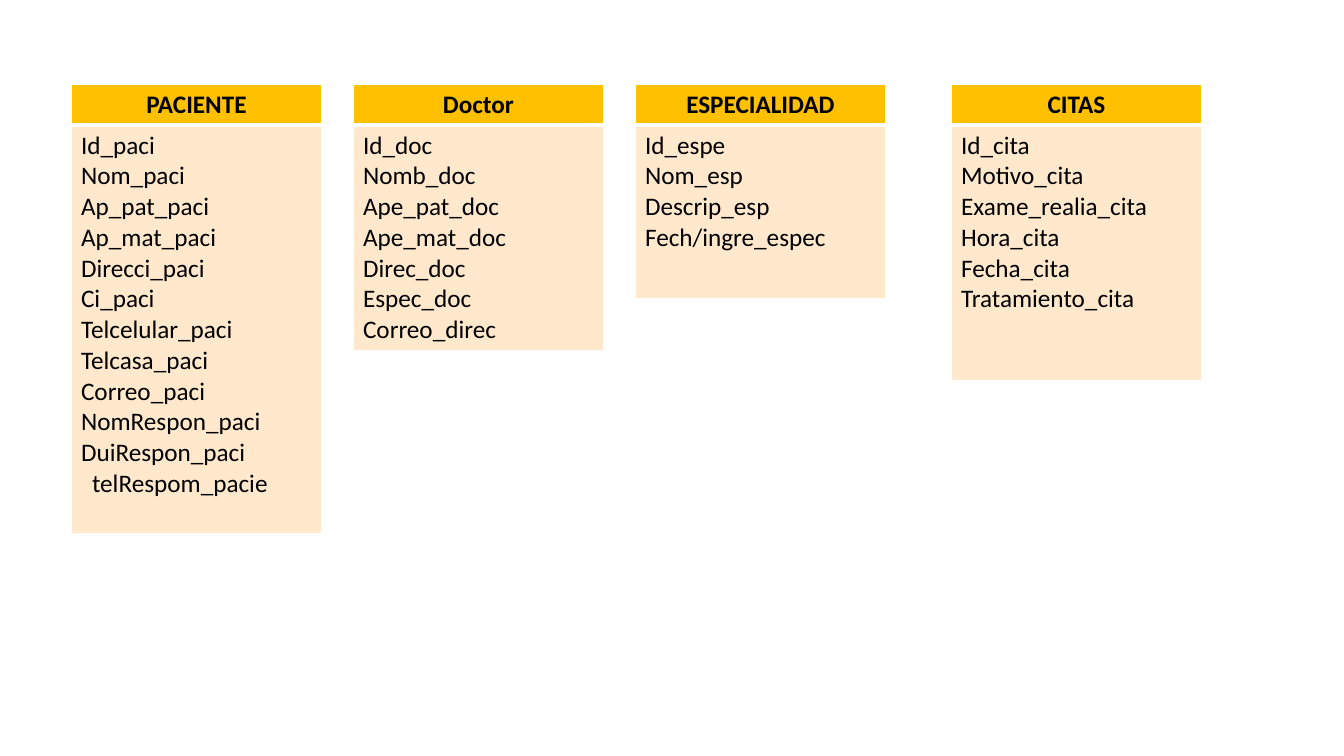
from dataclasses import dataclass

from lxml.etree import SubElement
from pptx import Presentation
from pptx.dml.color import RGBColor
from pptx.enum.text import PP_ALIGN as Align
from pptx.oxml.ns import qn
from pptx.slide import Slide
from pptx.table import _Cell as Cell
from pptx.util import Emu, Pt

PIXELS_PER_INCH = 100.8
SLIDE_WIDTH, SLIDE_HEIGHT = 1344, 756
TABLE_TOP, TABLE_WIDTH, HEADER_HEIGHT = 84, 251, 41
FIELD_INDENT = 11
THIN, THICK = 1, 3

AMBER = RGBColor(0xFF, 0xC0, 0x00)
CREAM = RGBColor(0xFF, 0xE8, 0xCC)
BLACK = RGBColor(0x00, 0x00, 0x00)
WHITE = RGBColor(0xFF, 0xFF, 0xFF)


@dataclass(frozen=True)
class Entity:
    name: str
    left: int
    body_height: int
    fields: tuple[str, ...]
    indented: tuple[str, ...] = ()


ENTITIES = (
    Entity("PACIENTE", 71, 409, (
        "Id_paci", "Nom_paci", "Ap_pat_paci", "Ap_mat_paci", "Direcci_paci",
        "Ci_paci", "Telcelular_paci", "Telcasa_paci", "Correo_paci",
        "NomRespon_paci", "DuiRespon_paci", "telRespom_pacie",
    ), indented=("telRespom_pacie",)),
    Entity("Doctor", 353, 225, (
        "Id_doc", "Nomb_doc", "Ape_pat_doc", "Ape_mat_doc", "Direc_doc",
        "Espec_doc", "Correo_direc",
    )),
    Entity("ESPECIALIDAD", 635, 174, (
        "Id_espe", "Nom_esp", "Descrip_esp", "Fech/ingre_espec",
    )),
    Entity("CITAS", 951, 256, (
        "Id_cita", "Motivo_cita", "Exame_realia_cita", "Hora_cita",
        "Fecha_cita", "Tratamiento_cita",
    )),
)


def px(pixels: int) -> Emu:
    return Emu(round(pixels * 914400 / PIXELS_PER_INCH))


def style_cell(cell: Cell, color: RGBColor, top: int, bottom: int) -> None:
    properties = cell._tc.get_or_add_tcPr()
    borders = {"lnL": THIN, "lnR": THIN, "lnT": top, "lnB": bottom}
    for tag, points in borders.items():
        line = SubElement(properties, qn(f"a:{tag}"), w=str(Pt(points)))
        fill = SubElement(line, qn("a:solidFill"))
        SubElement(fill, qn("a:srgbClr"), val=str(WHITE))
    cell.fill.solid()
    cell.fill.fore_color.rgb = color


def write_lines(cell: Cell, lines: tuple[str, ...], bold: bool, align: Align) -> None:
    cell.text = "\n".join(lines)
    for paragraph in cell.text_frame.paragraphs:
        paragraph.alignment = align
        font = paragraph.font
        font.name, font.size, font.bold = "Calibri", Pt(18), bold
        font.color.rgb = BLACK


def add_entity(slide: Slide, entity: Entity) -> None:
    table = slide.shapes.add_table(
        2, 1, px(entity.left), px(TABLE_TOP), px(TABLE_WIDTH),
        px(HEADER_HEIGHT + entity.body_height),
    ).table
    table.first_row = table.horz_banding = False
    table.rows[0].height = px(HEADER_HEIGHT)
    table.rows[1].height = px(entity.body_height)

    header, body = table.cell(0, 0), table.cell(1, 0)
    style_cell(header, AMBER, top=THIN, bottom=THICK)
    style_cell(body, CREAM, top=THICK, bottom=THIN)
    write_lines(header, (entity.name,), True, Align.CENTER)
    write_lines(body, entity.fields, False, Align.LEFT)
    for paragraph in body.text_frame.paragraphs:
        if paragraph.text in entity.indented:
            paragraph._p.get_or_add_pPr().set("marL", str(px(FIELD_INDENT)))


def main() -> None:
    presentation = Presentation()
    presentation.slide_width = px(SLIDE_WIDTH)
    presentation.slide_height = px(SLIDE_HEIGHT)
    slide = presentation.slides.add_slide(presentation.slide_layouts[6])
    for entity in ENTITIES:
        add_entity(slide, entity)
    presentation.save("out.pptx")


main()
